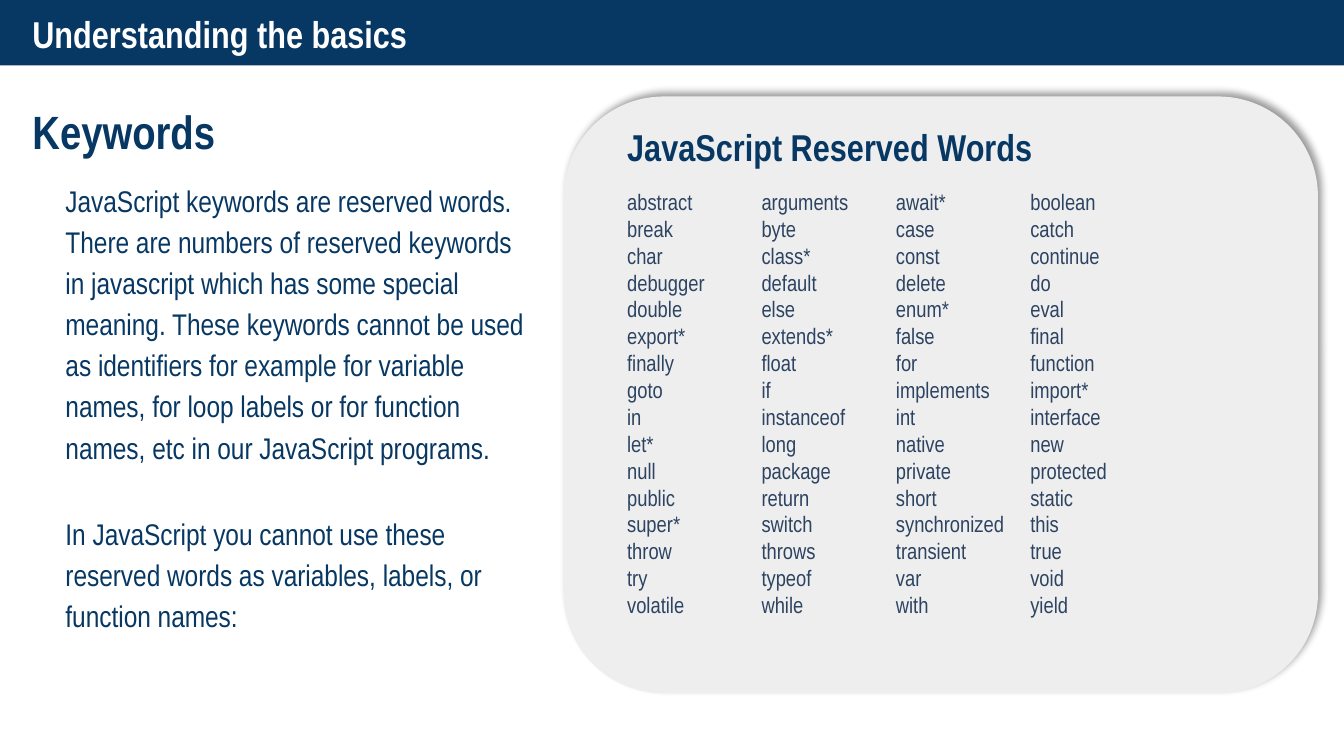
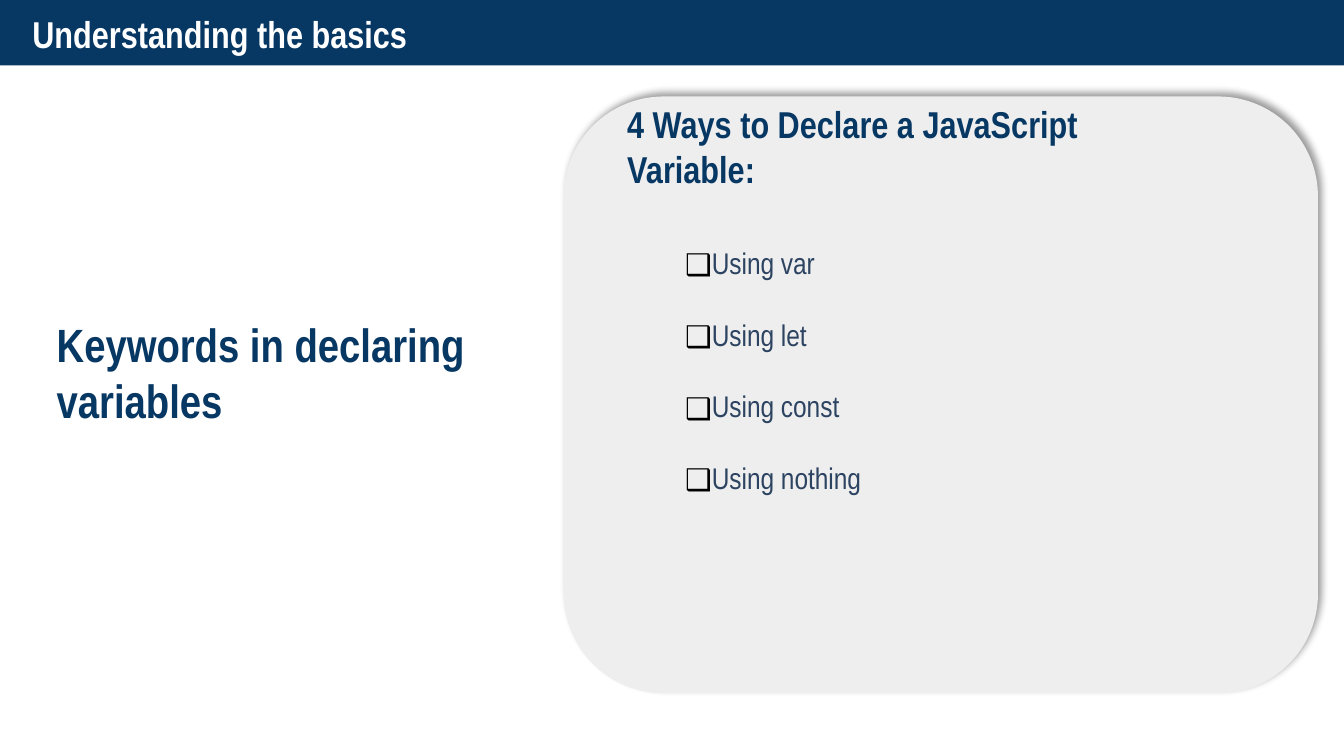
from lxml import etree
from pptx import Presentation
from pptx.dml.color import RGBColor
from pptx.enum.shapes import MSO_SHAPE
from pptx.enum.text import MSO_ANCHOR, MSO_AUTO_SIZE
from pptx.oxml import parse_xml
from pptx.oxml.ns import nsdecls, qn
from pptx.util import Pt

COLORS = {"navy": "073763", "slate": "2C4361", "panel": "EEEEEE",
          "white": "FFFFFF", "black": "000000"}
FONT = "Arial Narrow"
BULLET_FONT = "Noto Sans Symbols"
BAND = (0, -0.4, 720, 35.5)
PANEL = (302.1, 51.7, 404, 319.7)

STYLES = {
    "title": {"size": 20, "bold": True, "color": "white"},
    "heading": {"size": 25, "bold": True, "color": "navy"},
    "panel_heading": {"size": 20, "bold": True, "color": "navy"},
    "body": {"size": 16, "bold": False, "color": "navy"},
    "words": {"size": 12, "bold": False, "color": "slate"},
    "list": {"size": 16, "bold": False, "color": "slate"},
}

KEYWORDS_TEXT = [
    "JavaScript keywords are reserved words. There are numbers of reserved keywords "
    "in javascript which has some special meaning. These keywords cannot be used as "
    "identifiers for example for variable names, for loop labels or for function "
    "names, etc in our JavaScript programs.",
    "In JavaScript you cannot use these reserved words as variables, labels, or "
    "function names:",
]
RESERVED_WORDS = """
abstract arguments await* boolean break byte case catch char class* const continue
debugger default delete do double else enum* eval export* extends* false final
finally float for function goto if implements import* in instanceof int interface
let* long native new null package private protected public return short static
super* switch synchronized this throw throws transient true try typeof var void
volatile while with yield
""".split()
WORD_COLUMNS = 4
COLUMN_WIDTH = 72
DECLARATIONS = ["Using var", "Using let", "Using const", "Using nothing"]


def rgb(name):
    return RGBColor.from_string(COLORS[name])


def set_attributes(target, values):
    for name, value in values.items():
        setattr(target, name, value)


def add_box(slide, shape_type, box, color):
    shape = slide.shapes.add_shape(shape_type, *map(Pt, box))
    shape.shadow.inherit = False
    shape.fill.solid()
    shape.fill.fore_color.rgb = rgb(color)
    shape.line.fill.background()
    return shape


def add_text(slide, box, texts, style, frame_format=None, paragraph_format=None,
             gap=0, decorate=None):
    """Add one paragraph per text; decorate adds its bullet or tab stops."""
    frame = slide.shapes.add_textbox(*map(Pt, box)).text_frame
    set_attributes(frame, {"word_wrap": True, **(frame_format or {})})
    look = STYLES[style]
    for index, text in enumerate(texts):
        paragraph = frame.add_paragraph() if index else frame.paragraphs[0]
        set_attributes(paragraph, paragraph_format or {})
        if index and gap:
            paragraph.space_before = Pt(gap)
        if decorate:
            decorate(paragraph)
        run = paragraph.add_run()
        run.text = text
        set_attributes(run.font, {"name": FONT, "size": Pt(look["size"]),
                                  "bold": look["bold"]})
        run.font.color.rgb = rgb(look["color"])


def add_checkbox(paragraph, indent=13.5):
    properties = paragraph._p.get_or_add_pPr()
    properties.set("marL", str(Pt(indent)))
    properties.set("indent", str(-Pt(indent)))
    bullet_color = etree.SubElement(properties, qn("a:buClr"))
    etree.SubElement(bullet_color, qn("a:srgbClr"), val=COLORS["black"])
    etree.SubElement(properties, qn("a:buFont"), typeface=BULLET_FONT)
    etree.SubElement(properties, qn("a:buChar"), char="❑")


def add_column_tabs(paragraph):
    tabs = etree.SubElement(paragraph._p.get_or_add_pPr(), qn("a:tabLst"))
    for column in range(1, WORD_COLUMNS):
        etree.SubElement(tabs, qn("a:tab"), pos=str(Pt(column * COLUMN_WIDTH)), algn="l")


def add_heading(slide, box, text, style):
    margins = {f"margin_{side}": Pt(7.2) for side in ("left", "top", "right", "bottom")}
    add_text(slide, box, [text], style,
             {"vertical_anchor": MSO_ANCHOR.MIDDLE, **margins})


def add_title_band(slide, box, title):
    left, top, width, height = box
    add_box(slide, MSO_SHAPE.RECTANGLE, box, "navy")
    add_heading(slide, (left + 10.3, top + 0.6, width - 33, height), title, "title")


def add_panel(slide, box, heading):
    left, top, width, height = box
    panel = add_box(slide, MSO_SHAPE.ROUNDED_RECTANGLE, box, "panel")
    panel.adjustments[0] = 0.167
    # Soft shadow towards the upper right
    effects = panel._element.spPr.find(qn("a:effectLst"))
    effects.append(parse_xml(
        f'<a:outerShdw {nsdecls("a")} blurRad="{Pt(4)}" dist="{Pt(3)}" '
        f'dir="{315 * 60000}" algn="bl" rotWithShape="0">'
        f'<a:srgbClr val="{COLORS["black"]}"><a:alpha val="40000"/></a:srgbClr>'
        '</a:outerShdw>'))
    add_heading(slide, (left + 26.8, top + 16.2, 301, 21), heading, "panel_heading")


def add_base_slide(presentation, panel_heading):
    slide = presentation.slides.add_slide(presentation.slide_layouts[6])
    add_title_band(slide, BAND, "Understanding the basics")
    add_panel(slide, PANEL, panel_heading)
    return slide


def add_keywords_slide(presentation):
    slide = add_base_slide(presentation, "JavaScript Reserved Words")
    left, top = PANEL[:2]
    # Explanation on the left
    add_heading(slide, (10.3, 52.5, 333.5, 35), "Keywords", "heading")
    add_text(slide, (28, 57, 263.5, 202), KEYWORDS_TEXT, "body",
             {"margin_top": Pt(37.8)}, {"line_spacing": 1.15}, gap=24)
    # Reserved words in tabbed columns
    rows = ["\t".join(RESERVED_WORDS[start:start + WORD_COLUMNS])
            for start in range(0, len(RESERVED_WORDS), WORD_COLUMNS)]
    add_text(slide, (left + 26.8, top + 45.5, 420.5, 240), rows, "words",
             {"auto_size": MSO_AUTO_SIZE.SHAPE_TO_FIT_TEXT}, decorate=add_column_tabs)


def add_declarations_slide(presentation):
    slide = add_base_slide(presentation, "4 Ways to Declare a JavaScript Variable:")
    left, top = PANEL[:2]
    add_heading(slide, (23.3, 181.5, 292.5, 35), "Keywords in declaring variables",
                "heading")
    # Checkbox list
    add_text(slide, (left + 57.9, top + 75.8, 420.5, 143.5), DECLARATIONS, "list",
             {"auto_size": MSO_AUTO_SIZE.SHAPE_TO_FIT_TEXT}, gap=19.2,
             decorate=add_checkbox)


def main():
    presentation = Presentation()
    set_attributes(presentation, {"slide_width": Pt(720), "slide_height": Pt(405)})
    add_keywords_slide(presentation)
    add_declarations_slide(presentation)
    presentation.save("out.pptx")


if __name__ == "__main__":
    main()
